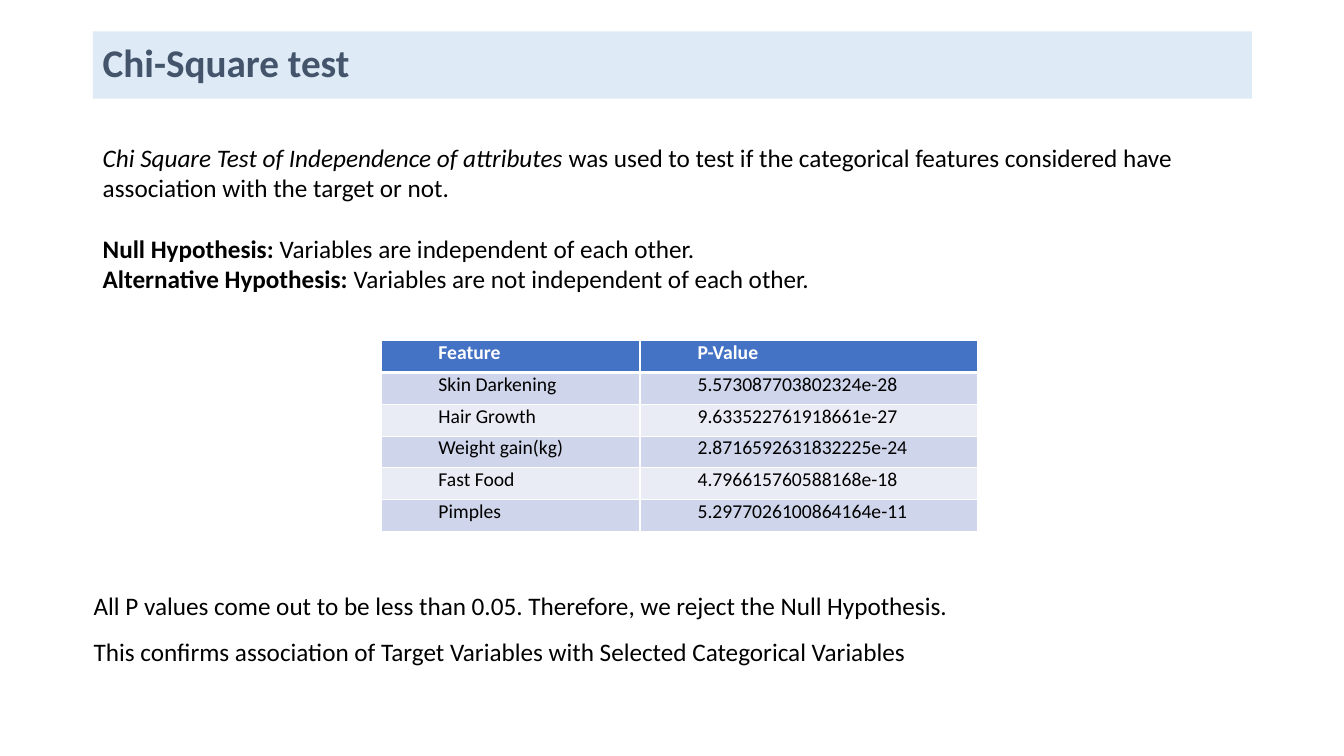
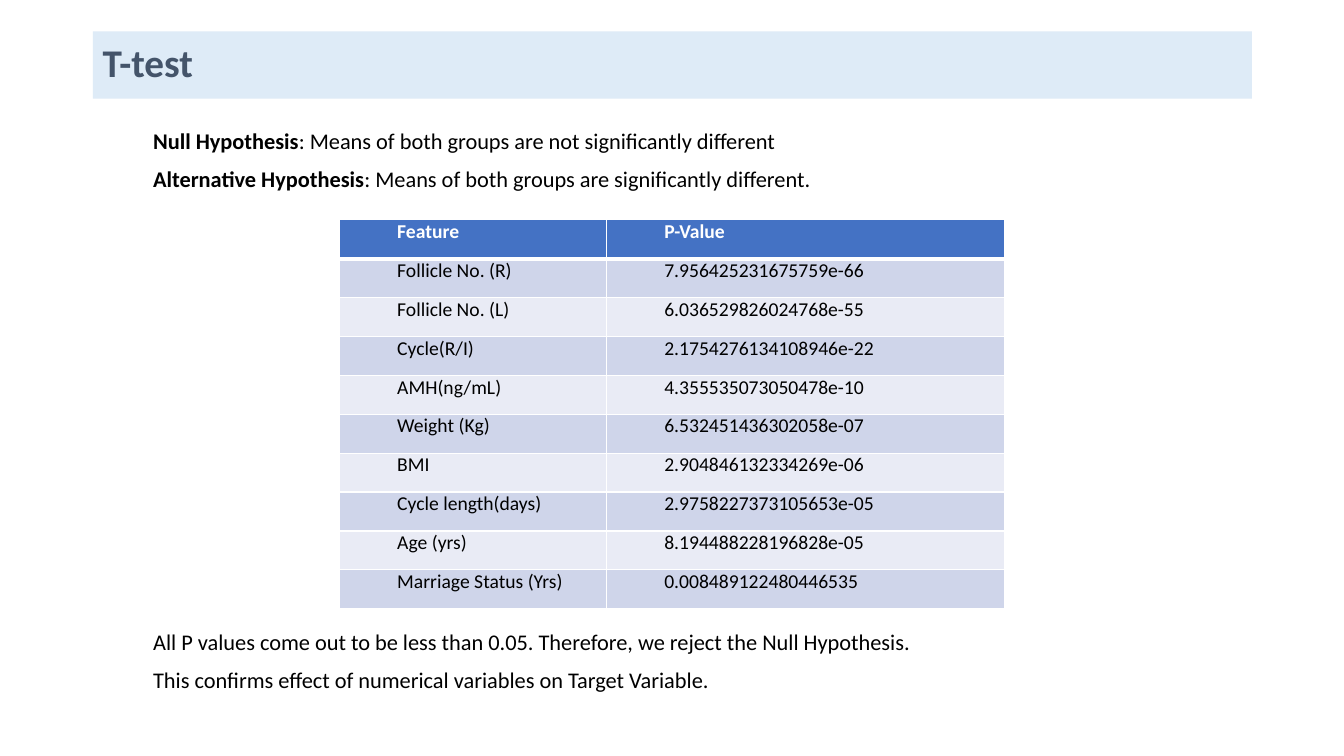
from dataclasses import dataclass

from lxml import etree
from pptx import Presentation
from pptx.dml.color import RGBColor
from pptx.enum.shapes import MSO_SHAPE
from pptx.enum.text import MSO_ANCHOR, PP_ALIGN
from pptx.oxml.ns import qn
from pptx.util import Cm, Pt

RECTANGLE = MSO_SHAPE.RECTANGLE
MIDDLE = MSO_ANCHOR.MIDDLE
LEFT, JUSTIFY = PP_ALIGN.LEFT, PP_ALIGN.JUSTIFY

FONT = "Calibri"
BLACK, WHITE = "000000", "FFFFFF"
TITLE_BAND, TITLE_TEXT = "DEEBF7", "44546A"
HEADER_FILL = "4472C4"
ROW_FILLS = ("CFD5EA", "E9EBF5")
CONTENT_LEFT, CONTENT_WIDTH = 2.34, 29.21
INDENT = 1.27
THIN, THICK = 1, 3
CONCLUSION = "All P values come out to be less than 0.05. Therefore, we reject the Null Hypothesis."


@dataclass(frozen=True)
class Span:
    text: str
    bold: bool = False
    italic: bool = False


@dataclass(frozen=True)
class Line:
    spans: tuple[Span, ...]
    space_after: float = 0


@dataclass(frozen=True)
class TextBlock:
    top: float
    height: float
    size: float
    lines: tuple[Line, ...]
    left: float = CONTENT_LEFT
    spacing: float = 1.0
    indent: float = 0
    align: int = LEFT


@dataclass(frozen=True)
class PValueTable:
    left: float
    top: float
    widths: tuple[float, float]
    row_height: float
    rows: tuple[tuple[str, str], ...]


@dataclass(frozen=True)
class TestSlide:
    title: str
    blocks: tuple[TextBlock, ...]
    p_values: PValueTable


def rgb(code: str) -> RGBColor:
    return RGBColor.from_string(code)


def apply_format(target, values: dict) -> None:
    for name, value in values.items():
        setattr(target, name, value)


def paint(target, color: str) -> None:
    target.fill.solid()
    target.fill.fore_color.rgb = rgb(color)


def add_run(paragraph, span: Span, size: float, color: str) -> None:
    run = paragraph.add_run()
    run.text = span.text
    apply_format(run.font, {"name": FONT, "size": Pt(size), "bold": span.bold, "italic": span.italic})
    run.font.color.rgb = rgb(color)


def indent_paragraph(paragraph, indent: float) -> None:
    properties = paragraph._p.get_or_add_pPr()
    properties.set("marL", str(Cm(indent)))
    properties.set("indent", "0")


def add_title(slide, title: str) -> None:
    band = slide.shapes.add_shape(RECTANGLE, Cm(CONTENT_LEFT), Cm(0.79), Cm(CONTENT_WIDTH), Cm(1.7))
    band.shadow.inherit = False
    paint(band, TITLE_BAND)
    band.line.fill.background()
    apply_format(band.text_frame, {"word_wrap": True, "vertical_anchor": MIDDLE})
    paragraph = band.text_frame.paragraphs[0]
    apply_format(paragraph, {"alignment": LEFT, "line_spacing": 0.9})
    add_run(paragraph, Span(title, bold=True), 28, TITLE_TEXT)


def add_text_block(slide, block: TextBlock) -> None:
    box = slide.shapes.add_textbox(Cm(block.left), Cm(block.top), Cm(CONTENT_WIDTH), Cm(block.height))
    frame = box.text_frame
    frame.word_wrap = True
    for index, line in enumerate(block.lines):
        paragraph = frame.add_paragraph() if index else frame.paragraphs[0]
        apply_format(paragraph, {
            "alignment": block.align,
            "line_spacing": block.spacing,
            "space_after": Pt(line.space_after),
        })
        indent_paragraph(paragraph, block.indent)
        for span in line.spans:
            add_run(paragraph, span, block.size, BLACK)


def add_borders(cell, top: float, bottom: float) -> None:
    properties = cell._tc.get_or_add_tcPr()
    for side, width in {"lnL": THIN, "lnR": THIN, "lnT": top, "lnB": bottom}.items():
        border = etree.SubElement(properties, qn(f"a:{side}"), w=str(Pt(width)))
        fill = etree.SubElement(border, qn("a:solidFill"))
        etree.SubElement(fill, qn("a:srgbClr"), val=WHITE)


def fill_cell(cell, text: str, row: int) -> None:
    header = row == 0
    apply_format(cell, {
        "margin_left": Cm(0.18), "margin_right": Cm(0.18),
        "margin_top": 0, "margin_bottom": 0,
    })
    add_borders(cell, THICK if row == 1 else THIN, THICK if header else THIN)
    paint(cell, HEADER_FILL if header else ROW_FILLS[(row - 1) % 2])
    paragraph = cell.text_frame.paragraphs[0]
    indent_paragraph(paragraph, INDENT)
    add_run(paragraph, Span(text, bold=header), 14, WHITE if header else BLACK)


def add_p_values(slide, p_values: PValueTable) -> None:
    rows = (("Feature", "P-Value"), *p_values.rows)
    table = slide.shapes.add_table(
        len(rows), len(p_values.widths), Cm(p_values.left), Cm(p_values.top),
        Cm(sum(p_values.widths)), Cm(p_values.row_height * len(rows)),
    ).table
    apply_format(table, {"first_row": False, "horz_banding": False})
    for column, width in zip(table.columns, p_values.widths):
        column.width = Cm(width)
    for row, texts in enumerate(rows):
        table.rows[row].height = Cm(p_values.row_height)
        for column, text in enumerate(texts):
            fill_cell(table.cell(row, column), text, row)


def indented_block(top: float, lines: tuple[tuple[Span, ...], ...]) -> TextBlock:
    return TextBlock(
        top, 1.9, 16, tuple(Line(spans, space_after=8) for spans in lines),
        indent=INDENT, align=JUSTIFY,
    )


SLIDES = (
    TestSlide(
        "Chi-Square test",
        (
            TextBlock(3.45, 4.11, 18, (
                Line((
                    Span("Chi Square Test of Independence of attributes", italic=True),
                    Span(" was used to test if the categorical features considered have "
                         "association with the target or not."),
                ), space_after=22),
                Line((Span("Null Hypothesis: ", bold=True),
                      Span("Variables are independent of each other."))),
                Line((Span("Alternative Hypothesis: ", bold=True),
                      Span("Variables are not independent of each other."))),
            )),
            TextBlock(14.38, 2.44, 18, (
                Line((Span(CONCLUSION),)),
                Line((Span("This confirms association of Target Variables with "
                           "Selected Categorical Variables"),)),
            ), left=2.11, spacing=1.5),
        ),
        PValueTable(9.6, 8.59, (6.53, 8.51), 0.8, (
            ("Skin Darkening", "5.573087703802324e-28"),
            ("Hair Growth", "9.633522761918661e-27"),
            ("Weight gain(kg)", "2.8716592631832225e-24"),
            ("Fast Food", "4.796615760588168e-18"),
            ("Pimples", "5.2977026100864164e-11"),
        )),
    ),
    TestSlide(
        "T-test",
        (
            indented_block(3.07, (
                (Span("Null Hypothesis", bold=True),
                 Span(": Means of both groups are not significantly different")),
                (Span("Alternative Hypothesis", bold=True),
                 Span(": Means of both groups are significantly different.")),
            )),
            indented_block(15.7, (
                (Span(CONCLUSION),),
                (Span("This confirms effect of numerical variables on Target Variable."),),
            )),
        ),
        PValueTable(8.56, 5.54, (6.73, 10.03), 0.98, (
            ("Follicle No. (R)", "7.956425231675759e-66"),
            ("Follicle No. (L)", "6.036529826024768e-55"),
            ("Cycle(R/I)", "2.1754276134108946e-22"),
            ("AMH(ng/mL)", "4.355535073050478e-10"),
            ("Weight (Kg)", "6.532451436302058e-07"),
            ("BMI", "2.904846132334269e-06"),
            ("Cycle length(days)", "2.9758227373105653e-05"),
            ("Age (yrs)", "8.194488228196828e-05"),
            ("Marriage Status (Yrs)", "0.008489122480446535"),
        )),
    ),
)


def main() -> None:
    deck = Presentation()
    apply_format(deck, {"slide_width": Cm(33.87), "slide_height": Cm(19.05)})
    blank = deck.slide_layouts[6]
    for test in SLIDES:
        slide = deck.slides.add_slide(blank)
        add_title(slide, test.title)
        add_p_values(slide, test.p_values)
        for block in test.blocks:
            add_text_block(slide, block)
    deck.save("out.pptx")


if __name__ == "__main__":
    main()
